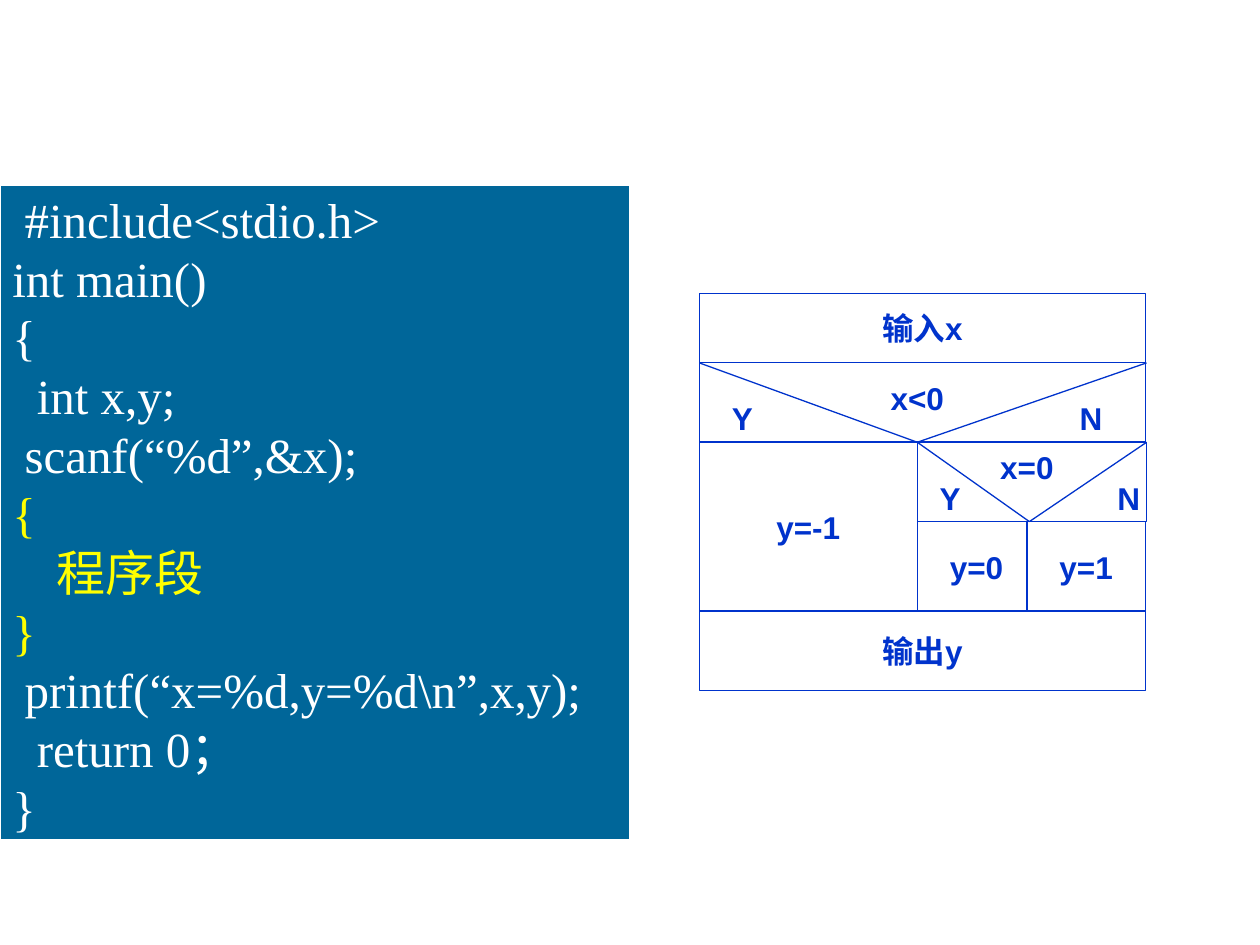
"""Build a slide with a C program beside its nested decision chart."""
from pptx import Presentation
from pptx.dml.color import RGBColor as Rgb
from pptx.enum.shapes import MSO_CONNECTOR as Conn, MSO_SHAPE as Kind
from pptx.enum.text import MSO_ANCHOR as Anchor, MSO_AUTO_SIZE as Fit, PP_ALIGN as Align
from pptx.oxml.ns import qn
from pptx.util import Inches, Pt
from lxml.etree import SubElement

BLUE, WHITE, GOLD, TEAL = "0033CC", "FFFFFF", "FFFF00", "006699"
CODE = [
    (" #include<stdio.h>", WHITE),
    ("int main()", WHITE),
    ("{", WHITE),
    ("  int x,y;", WHITE),
    (" scanf(“%d”,&x);", WHITE),
    ("{", GOLD),
    ("    程序段", GOLD),
    ("}", GOLD),
    (" printf(“x=%d,y=%d\\n”,x,y);", WHITE),
    ("  return 0；", WHITE),
    ("}", WHITE),
]
LEFT, MID, SPLIT, FORK, RIGHT = 5.55, 7.28, 8.15, 8.17, 9.09
TOP, TEST, NEST, LEAF, OUT, END = 2.33, 2.88, 3.51, 4.14, 4.85, 5.48
BOXES = [
    (LEFT, TOP, RIGHT, TEST, "输入x"),
    (LEFT, TEST, RIGHT, NEST, ""),
    (LEFT, NEST, MID, OUT, "y=-1"),
    (MID, NEST, RIGHT + 0.01, LEAF, ""),
    (MID, LEAF, RIGHT, OUT, ""),
    (LEFT, OUT, RIGHT, END, "输出y"),
]
LINES = [
    (LEFT, TEST, MID, NEST),
    (MID, NEST, RIGHT + 0.01, TEST),
    (MID, NEST, FORK, LEAF),
    (FORK, LEAF, RIGHT + 0.01, NEST),
    (SPLIT, LEAF, SPLIT, OUT),
]
WIDTHS = {"Y": 0.36, "N": 0.38}
LABELS = [
    (5.71, 3.12, "Y"), (8.47, 3.12, "N"), (6.97, 2.96, "x<0"),
    (7.36, 3.75, "Y"), (8.77, 3.75, "N"), (7.84, 3.51, "x=0"),
    (7.44, 4.3, "y=0"), (8.31, 4.3, "y=1"),
]
CODE_FONT = {"name": "Times New Roman", "size": Pt(28), "bold": False}
CHART_FONT = {"name": "Arial", "size": Pt(18), "bold": True}


def tint(text):
    return Rgb.from_string(text)


def write(shape, rows, form, align):
    frame = shape.text_frame
    frame.word_wrap = False
    for i, (text, color) in enumerate(rows):
        para = frame.add_paragraph() if i else frame.paragraphs[0]
        para.alignment = align
        run = para.add_run()
        run.text = text
        for key, value in form.items():
            setattr(run.font, key, value)
        run.font.color.rgb = tint(color)


def add_box(slide, spot, fill, edge, width):
    x1, y1, x2, y2 = spot
    box = slide.shapes.add_shape(
        Kind.RECTANGLE, *map(Inches, (x1, y1, x2 - x1, y2 - y1)))
    box.shadow.inherit = False
    box.fill.solid()
    box.fill.fore_color.rgb = tint(fill)
    box.line.color.rgb = tint(edge)
    box.line.width = Pt(width)
    box.text_frame.vertical_anchor = Anchor.MIDDLE
    return box


def add_line(slide, spot):
    line = slide.shapes.add_connector(Conn.STRAIGHT, *map(Inches, spot))
    line.line.color.rgb = tint(BLUE)
    line.line.width = Pt(0.75)
    SubElement(line._element.spPr, qn("a:effectLst"))


def main():
    deck = Presentation()
    deck.slide_width, deck.slide_height = Inches(10), Inches(7.5)
    slide = deck.slides.add_slide(deck.slide_layouts[6])
    panel = add_box(slide, (0, 1.47, 5, 6.67), TEAL, WHITE, 1)
    write(panel, CODE, CODE_FONT, Align.LEFT)
    for *spot, text in BOXES:
        box = add_box(slide, spot, WHITE, BLUE, 0.75)
        if text:
            write(box, [(text, BLUE)], CHART_FONT, Align.CENTER)
    for spot in LINES:
        add_line(slide, spot)
    for x, y, text in LABELS:
        size = (WIDTHS.get(text, 0.63), 0.4)
        label = slide.shapes.add_textbox(*map(Inches, (x, y, *size)))
        label.text_frame.auto_size = Fit.SHAPE_TO_FIT_TEXT
        write(label, [(text, BLUE)], CHART_FONT, Align.LEFT)
    deck.save("out.pptx")


if __name__ == "__main__":
    main()
